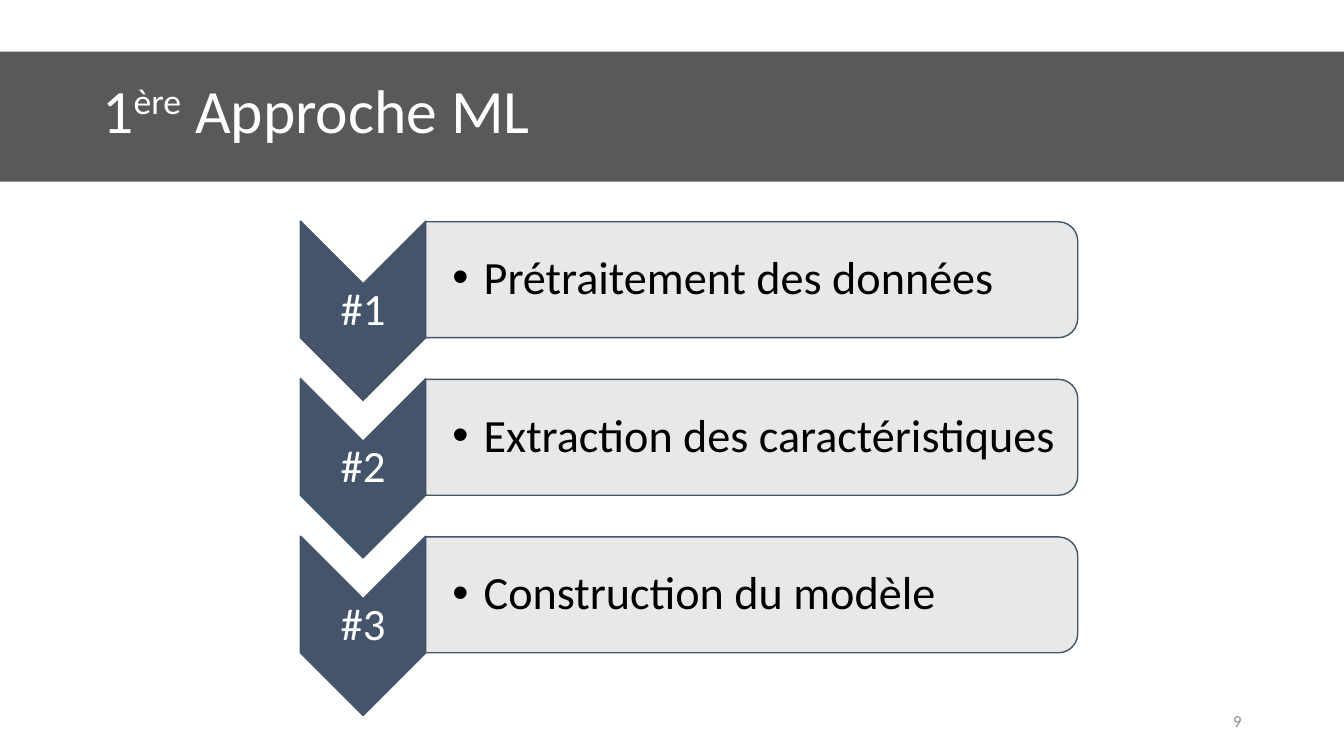
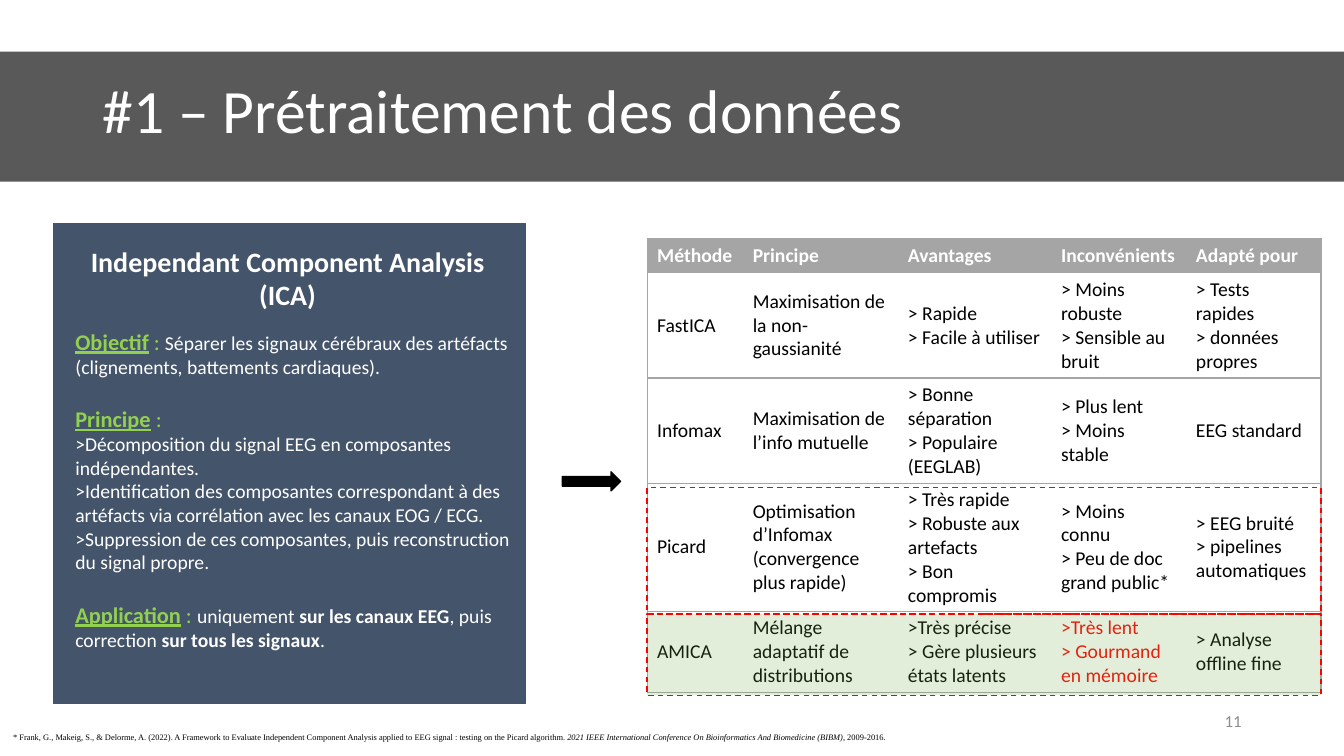
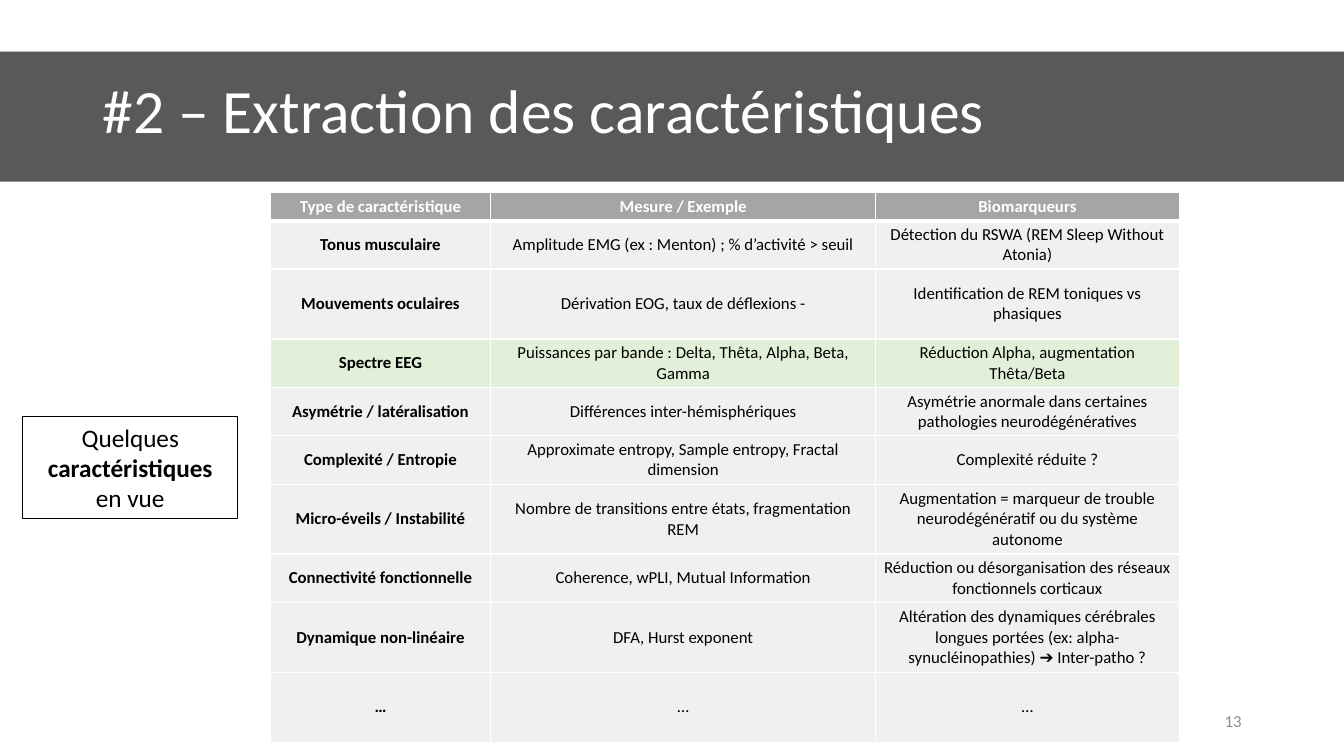
from lxml import etree
from pptx import Presentation
from pptx.dml.color import RGBColor
from pptx.enum import dml, shapes, text
from pptx.oxml import ns
from pptx.util import Cm, Pt

# Shared look
WHITE, BLACK, BAND, NAVY, GREY = "FFFFFF", "000000", "595959", "44546A", "A5A5A5"
RED, LIME, GREEN, PALE, MINT = "FF0000", "92D050", "70AD47", "F0F0F0", "E2F0D9"
FONT = "Calibri"
KIND = shapes.MSO_SHAPE
LEFT, MID, RIGHT = text.PP_ALIGN.LEFT, text.PP_ALIGN.CENTER, text.PP_ALIGN.RIGHT
CENTRE, TOP = text.MSO_ANCHOR.MIDDLE, text.MSO_ANCHOR.TOP
PLAIN = "{2D5ABB26-0587-4C30-8999-92F81FD0307C}"
PAD = (0.25, 0.13, 0.25, 0.13)

# Content: a paragraph is a string or a list of (words, changes)
BOLD = {"bold": True}
HEAD = {"size": 16, "color": LIME, "bold": True, "line": True}
COLON = {"size": 16, "color": LIME}

STEPS = ["Prétraitement des données", "Extraction des caractéristiques",
         "Construction du modèle"]

ICA = ["Independant Component Analysis", "(ICA)"]
NOTES = [
    [("Objectif", HEAD), (" : ", COLON),
     ("Séparer les signaux cérébraux des artéfacts (clignements, battements cardiaques).", {})],
    [("Principe", HEAD), (" :", COLON)],
    ">Décomposition du signal EEG en composantes indépendantes.",
    ">Identification des composantes correspondant à des artéfacts via corrélation "
    "avec les canaux EOG / ECG.",
    ">Suppression de ces composantes, puis reconstruction du signal propre.",
    [("Application", HEAD), (" : ", COLON), ("uniquement ", {}),
     ("sur les canaux EEG", BOLD), (", puis correction ", {}),
     ("sur tous les signaux", BOLD), (".", {})],
]
METHODS = [
    ["Méthode", "Principe", "Avantages", "Inconvénients", "Adapté pour"],
    ["FastICA", "Maximisation de la non-gaussianité", "> Rapide\n> Facile à utiliser",
     "> Moins robuste\n> Sensible au bruit", "> Tests rapides\n> données propres"],
    ["Infomax", "Maximisation de l’info mutuelle",
     "> Bonne séparation\n> Populaire (EEGLAB)", "> Plus lent\n> Moins stable",
     "EEG standard"],
    ["Picard", "Optimisation d’Infomax (convergence plus rapide)",
     "> Très rapide\n> Robuste aux artefacts\n> Bon compromis",
     "> Moins connu\n> Peu de doc grand public*",
     "> EEG bruité\n> pipelines automatiques"],
    ["AMICA", "Mélange adaptatif de distributions",
     ">Très précise\n> Gère plusieurs états latents",
     ">Très lent\n> Gourmand en mémoire", "> Analyse offline fine"],
]
SOURCE = [
    ("* Frank, G., Makeig, S., & Delorme, A. (2022). A Framework to Evaluate Independent "
     "Component Analysis applied to EEG signal : testing on the Picard algorithm. ", {}),
    ("2021 IEEE International Conference On Bioinformatics And Biomedicine (BIBM)",
     {"italic": True}),
    (", 2009‑2016.", {}),
]

TRAITS = [
    ["Type de caractéristique", "Mesure / Exemple", "Biomarqueurs"],
    ["Tonus musculaire", "Amplitude EMG (ex : Menton) ; % d’activité > seuil",
     "Détection du RSWA (REM Sleep Without Atonia)"],
    ["Mouvements oculaires", "Dérivation EOG, taux de déflexions -",
     "Identification de REM toniques vs phasiques"],
    ["Spectre EEG", "Puissances par bande : Delta, Thêta, Alpha, Beta, Gamma",
     "Réduction Alpha, augmentation Thêta/Beta"],
    ["Asymétrie / latéralisation", "Différences inter-hémisphériques",
     "Asymétrie anormale dans certaines pathologies neurodégénératives"],
    ["Complexité / Entropie", "Approximate entropy, Sample entropy, Fractal dimension",
     "Complexité réduite ?"],
    ["Micro-éveils / Instabilité", "Nombre de transitions entre états, fragmentation REM",
     "Augmentation = marqueur de trouble neurodégénératif ou du système autonome"],
    ["Connectivité fonctionnelle", "Coherence, wPLI, Mutual Information",
     "Réduction ou désorganisation des réseaux fonctionnels corticaux"],
    ["Dynamique non-linéaire", "DFA, Hurst exponent",
     "Altération des dynamiques cérébrales longues portées "
     "(ex: alpha-synucléinopathies) ➔ Inter-patho ?"],
    ["…", "…", "…"],
]
ASIDE = [[("Quelques ", {}), ("caractéristiques", BOLD), (" en vue", {})]]


# Helpers
def rgb(code):
    return RGBColor.from_string(code)


def write(frame, paras, size, color=BLACK, align=LEFT, anchor=CENTRE, pad=PAD,
          font=FONT, bold=False, space=None):
    frame.word_wrap = True
    frame.vertical_anchor = anchor
    (frame.margin_left, frame.margin_top,
     frame.margin_right, frame.margin_bottom) = map(Cm, pad)
    for i, para in enumerate(paras):
        p = frame.add_paragraph() if i else frame.paragraphs[0]
        p.alignment = align
        if space:
            p.line_spacing = space
        for words, look in [(para, {})] if isinstance(para, str) else para:
            run = p.add_run()
            run.text = words
            f = run.font
            f.name, f.size = font, Pt(look.get("size", size))
            f.color.rgb = rgb(look.get("color", color))
            f.bold = look.get("bold", bold)
            f.italic = look.get("italic", False)
            f.underline = look.get("line", False)
            if "raise" in look:
                run._r.get_or_add_rPr().set("baseline", str(look["raise"] * 1000))
    return frame


def label(slide, box, paras, size, **look):
    return write(slide.shapes.add_textbox(*map(Cm, box)).text_frame, paras, size, **look)


def draw(slide, kind, box, fill=None, line=None, width=1, alpha=None, dash=False, turn=0):
    """Draw a shape that covers box once it is turned."""
    x, y, w, h = box
    if turn:
        x, y, w, h = x + (w - h) / 2, y + (h - w) / 2, h, w
    s = slide.shapes.add_shape(kind, Cm(x), Cm(y), Cm(w), Cm(h))
    s.rotation = turn
    s.shadow.inherit = False
    if fill:
        s.fill.solid()
        s.fill.fore_color.rgb = rgb(fill)
        if alpha:
            tint = s.fill._xPr.find(".//" + ns.qn("a:srgbClr"))
            etree.SubElement(tint, ns.qn("a:alpha")).set("val", str(alpha * 1000))
    else:
        s.fill.background()
    if line:
        s.line.color.rgb = rgb(line)
        s.line.width = Pt(width)
        if dash:
            s.line.dash_style = dml.MSO_LINE.DASH
    else:
        s.line.fill.background()
    return s


def edge(cell, **sides):
    """Set cell borders; call with sides in the order L, R, T, B, before the fill."""
    props = cell._tc.get_or_add_tcPr()
    for side, (color, width) in sides.items():
        ln = etree.SubElement(props, ns.qn("a:ln" + side), w=str(Pt(width)))
        solid = etree.SubElement(ln, ns.qn("a:solidFill"))
        etree.SubElement(solid, ns.qn("a:srgbClr"), val=color)


def grid(slide, left, top, cols, rows, data, style):
    """Add a table; style(row, col) gives borders, fill and text look."""
    table = slide.shapes.add_table(len(rows), len(cols), Cm(left), Cm(top),
                                   Cm(sum(cols)), Cm(sum(rows))).table
    table._tbl.tblPr.find(ns.qn("a:tableStyleId")).text = PLAIN
    table.horz_banding = False
    for col, width in zip(table.columns, cols):
        col.width = Cm(width)
    for r, high in enumerate(rows):
        table.rows[r].height = Cm(high)
        for c, words in enumerate(data[r]):
            cell = table.cell(r, c)
            sides, fill, look = style(r, c)
            write(cell.text_frame, words.split("\n"), **look)
            cell.vertical_anchor = CENTRE
            (cell.margin_left, cell.margin_top,
             cell.margin_right, cell.margin_bottom) = map(Cm, look.get("pad", PAD))
            edge(cell, **sides)
            cell.fill.solid()
            cell.fill.fore_color.rgb = rgb(fill)


def start(deck, title, page):
    slide = deck.slides.add_slide(deck.slide_layouts[5])
    band = draw(slide, KIND.RECTANGLE, (0, 1.3, 33.87, 3.28), BAND)
    head = slide.shapes.title
    head._element.addprevious(band._element)
    head.left, head.top, head.width, head.height = map(Cm, (2.33, 1.02, 29.21, 3.68))
    write(head.text_frame, [title], 44, WHITE, space=0.9)
    label(slide, (23.92, 17.65, 7.62, 1.01), [str(page)], 12, color="8C8C8C", align=RIGHT)
    return slide


# Slide: the three steps
def steps(deck):
    slide = start(deck, [("1", {}), ("ère", {"raise": 30}), (" Approche ML", {})], 9)
    for i, step in enumerate(STEPS):
        y = 5.57 + i * 3.97
        draw(slide, KIND.CHEVRON, (7.57, y, 3.16, 4.52), NAVY, NAVY, turn=90)
        label(slide, (7.57, y + 1.58, 3.16, 1.36), [f"#{i + 1}"], 32, color=WHITE,
              align=MID, pad=(0.05,) * 4, space=0.9)
        draw(slide, KIND.ROUND_2_SAME_RECTANGLE, (10.73, y + 0.02, 16.43, 2.92),
             "E7E6E6", NAVY, alpha=90, turn=90)
        frame = label(slide, (10.74, y + 0.16, 16.28, 2.64), [step], 33,
                      pad=(0.66, 0.05, 0.05, 0.05), space=0.9)
        props = frame.paragraphs[0]._p.get_or_add_pPr()
        props.set("marL", str(Cm(0.79)))
        props.set("indent", str(-Cm(0.79)))
        etree.SubElement(props, ns.qn("a:buFont"), typeface="Arial")
        etree.SubElement(props, ns.qn("a:buChar"), char="•")


# Slide: ICA and its methods
def ica(deck):
    slide = start(deck, "#1 – Prétraitement des données", 11)
    draw(slide, KIND.RECTANGLE, (1.35, 5.64, 11.89, 12.09), NAVY, "325491")
    label(slide, (1.6, 6.02, 11.3, 1.96), ICA, 20, color=WHITE, align=MID,
          anchor=TOP, bold=True)
    frame = label(slide, (1.65, 8.13, 11.81, 8.46), NOTES, 14, color=WHITE, anchor=TOP)
    for i in (1, 5):
        frame.paragraphs[i].space_before = Pt(19.5)

    cols = [2.41, 3.91, 3.86, 3.4, 3.4]
    rows = [0.84, 2.65, 2.65, 3.18, 2.05]
    left, top = 16.31, 6.02

    def style(r, c):
        rule = (GREY, 1)
        sides = {"L": rule} if c == 0 else {"R": rule} if c == 4 else {}
        color = WHITE if r == 0 else RED if (r, c) == (4, 3) else BLACK
        return ({**sides, "T": rule, "B": rule}, WHITE if r else GREY,
                {"size": 14, "color": color, "bold": r == 0})

    grid(slide, left, top, cols, rows, METHODS, style)
    for r, look in ((3, {}), (4, {"fill": GREEN, "alpha": 20})):
        draw(slide, KIND.RECTANGLE, (left, top + 0.13 + sum(rows[:r]), sum(cols), rows[r]),
             line=RED, dash=True, **look)
    label(slide, (0.33, 18.46, 27.18, 0.25), [SOURCE], 6, pad=(0,) * 4,
          font="Times New Roman")
    draw(slide, KIND.RIGHT_ARROW, (14.17, 11.89, 1.47, 0.48), BLACK, BLACK)


# Slide: features
def traits(deck):
    slide = start(deck, "#2 – Extraction des caractéristiques", 13)

    def style(r, c):
        rule = (WHITE, 1)
        sides = {"L": rule, "R": rule, "T": rule if r != 1 else (WHITE, 3),
                 "B": rule if r else (WHITE, 3)}
        fill = GREY if r == 0 else MINT if r == 3 else PALE
        return sides, fill, {"size": 12, "color": BLACK if r else WHITE, "align": MID,
                             "bold": r == 0 or c == 0, "pad": (0.18, 0.08, 0.18, 0.08)}

    low, high = 1.22, 1.76
    grid(slide, 6.81, 4.85, [5.56, 9.7, 7.65],
         [0.71, low, high, low, low, low, high, low, high, high], TRAITS, style)
    box = draw(slide, KIND.RECTANGLE, (0.58, 10.49, 5.41, 2.57), line=BLACK, width=0.75)
    write(box.text_frame, ASIDE, 18, align=MID)


def main():
    deck = Presentation()
    deck.slide_width, deck.slide_height = Cm(33.87), Cm(19.05)
    for build in (steps, ica, traits):
        build(deck)
    deck.save("out.pptx")


if __name__ == "__main__":
    main()
